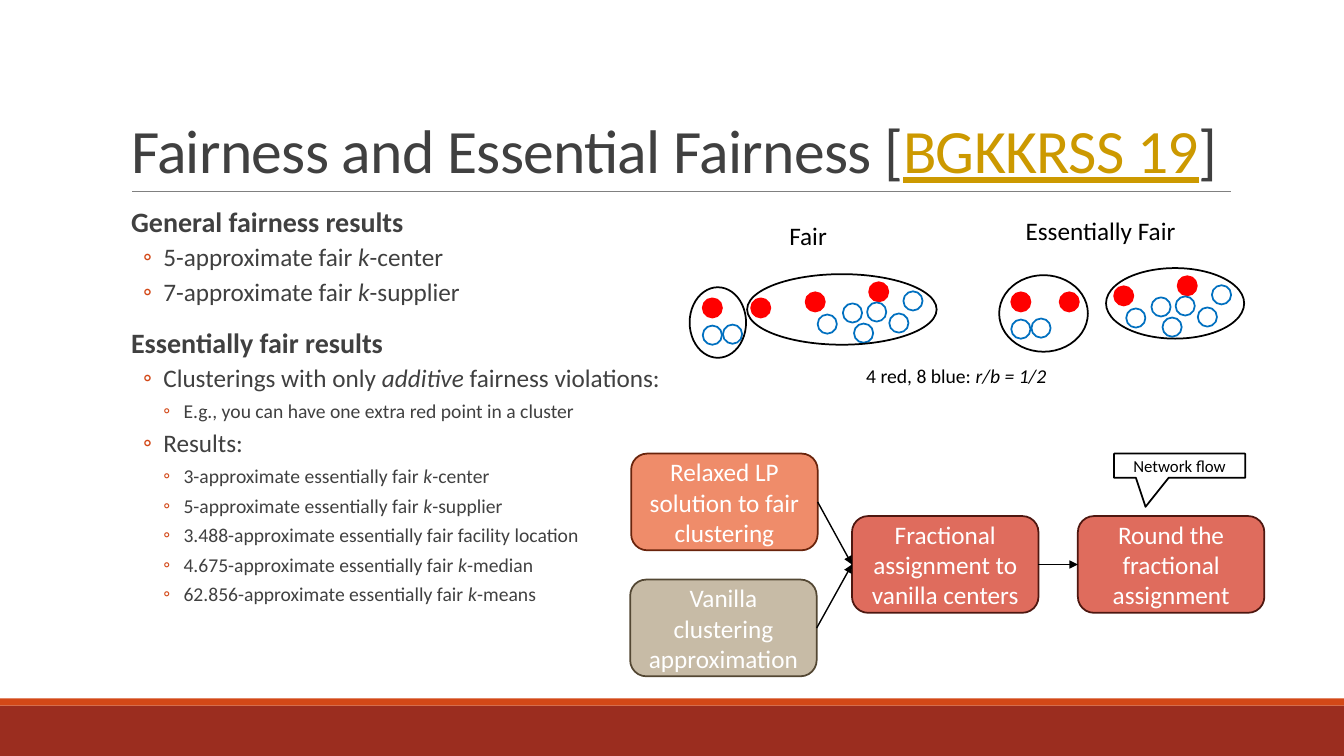
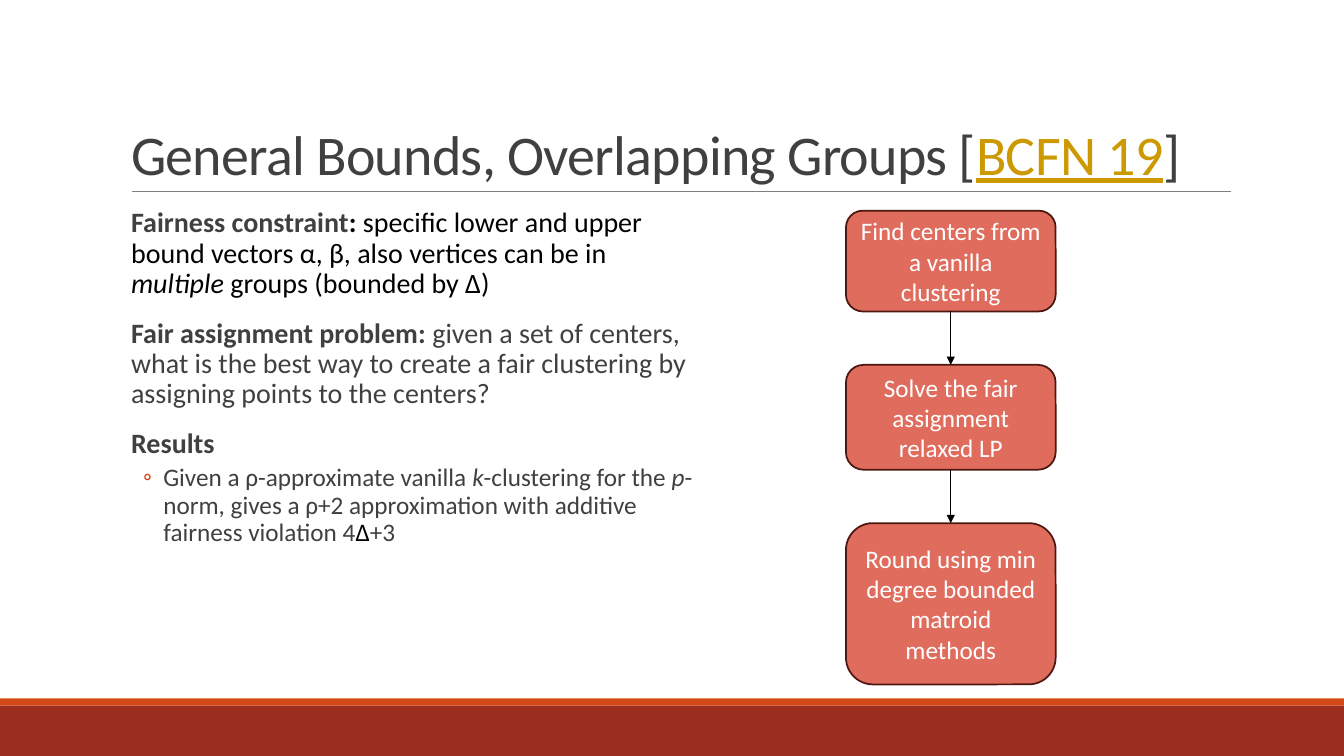
import dataclasses

import lxml.etree
import pptx
import pptx.dml.color
import pptx.enum.shapes
import pptx.enum.text
import pptx.oxml.ns
import pptx.util

Inches = pptx.util.Inches
SHAPE = pptx.enum.shapes.MSO_SHAPE
ANCHOR = pptx.enum.text.MSO_ANCHOR
ALIGN = pptx.enum.text.PP_ALIGN
qn = pptx.oxml.ns.qn


@dataclasses.dataclass(frozen=True)
class Theme:
    font: str = "Calibri"
    text: str = "404040"
    black: str = "000000"
    white: str = "FFFFFF"
    citation: str = "CC9900"
    accent: str = "D34817"
    footer: str = "9B2D1F"
    rule: str = "808080"
    red_point: str = "FF0000"
    blue_point: str = "0070C0"
    coral: tuple = ("DF6C5D", "4E1710")  # fill, outline
    orange: tuple = ("EF8C6A", "69240C")
    sand: tuple = ("C7BBA6", "534733")
    level_sizes: tuple = (20, 18, 14)
    label: int = 18
    note: int = 14
    callout: int = 12


theme = Theme()


def write(para, text, size, color, bold=False, underline=False, spacing=None):
    """Add text to a paragraph; parts between asterisks become italic."""
    for index, part in enumerate(text.split("*")):
        if not part:
            continue
        span = para.add_run()
        span.text = part
        span.font.name = theme.font
        span.font.size = pptx.util.Pt(size)
        span.font.color.rgb = pptx.dml.color.RGBColor.from_string(color)
        span.font.bold = bold
        span.font.italic = index % 2 == 1
        span.font.underline = underline
        if spacing is not None:
            span._r.get_or_add_rPr().set("spc", str(round(spacing * 100)))


def draw(page, kind, area, fill=None, outline=None, text="", size=theme.label, color=theme.white):
    """Draw a preset shape with an optional centred label."""
    box = page.shapes.add_shape(kind, *map(Inches, area))
    box.shadow.inherit = False
    if fill:
        box.fill.solid()
        box.fill.fore_color.rgb = pptx.dml.color.RGBColor.from_string(fill)
    else:
        box.fill.background()
    if outline:
        box.line.color.rgb = pptx.dml.color.RGBColor.from_string(outline)
        box.line.width = pptx.util.Pt(1.25)
    else:
        box.line.fill.background()
    if text:
        frame = box.text_frame
        frame.word_wrap = True
        frame.vertical_anchor = ANCHOR.MIDDLE
        frame.paragraphs[0].alignment = ALIGN.CENTER
        write(frame.paragraphs[0], text, size, color)
    return box


# Deck and shared title position
deck = pptx.Presentation()
deck.slide_width, deck.slide_height = Inches(13.33), Inches(7.5)
layout = deck.slide_layouts[1]
title_area = layout.placeholders[0]
title_area.left, title_area.top = Inches(1.2), Inches(0.31)
title_area.width, title_area.height = Inches(11), Inches(1.59)

# Wording: each body paragraph is a level and its spans (text, format changes)
strong = {"bold": True}
black = {"color": theme.black}
contents = [
    {
        "title": ("Fairness and Essential Fairness [", "BGKKRSS 19", 44),
        "body_size": (6.1, 4.4),
        "body": [
            (0, [("General fairness results", strong)]),
            (1, [("5-approximate fair *k*-center", {})]),
            (1, [("7-approximate fair *k*-supplier", {})]),
            (0, [("Essentially fair results", strong)]),
            (1, [("Clusterings with only *additive* fairness violations:", {})]),
            (2, [("E.g., you can have one extra red point in a cluster", {})]),
            (1, [("Results:", {})]),
            (2, [("3-approximate essentially fair *k*-center", {})]),
            (2, [("5-approximate essentially fair *k*-supplier", {})]),
            (2, [("3.488-approximate essentially fair facility location", {})]),
            (2, [("4.675-approximate essentially fair *k*-median", {})]),
            (2, [("62.856-approximate essentially fair *k*-means", {})]),
        ],
    },
    {
        "title": ("General Bounds, Overlapping Groups [", "BCFN 19", 40),
        "body_size": (5.67, 4.77),
        "body": [
            (0, [
                ("Fairness constraint", strong),
                (":", strong | black),
                (" specific lower and upper bound vectors α, β, also vertices can be in "
                 "*multiple *groups (bounded by Δ)", black),
            ]),
            (0, [
                ("Fair assignment problem:", strong),
                (" given a set of centers, what is the best way to create a fair "
                 "clustering by assigning points to the centers?", {}),
            ]),
            (0, [("Results", strong)]),
            (1, [
                ("Given a ρ-approximate vanilla *k*-clustering for the *p*-norm, gives "
                 "a ρ+2 approximation with additive fairness violation 4", {}),
                ("Δ", black),
                ("+3", {}),
            ]),
        ],
    },
]

# Titles and lists
pages = []
for content in contents:
    page = deck.slides.add_slide(layout)
    pages.append(page)
    frame = page.shapes.title.text_frame
    frame.auto_size = pptx.enum.text.MSO_AUTO_SIZE.NONE
    frame.vertical_anchor = ANCHOR.BOTTOM
    para = frame.paragraphs[0]
    para.alignment = ALIGN.LEFT
    para.line_spacing = 0.85
    lead, citation, size = content["title"]
    write(para, lead, size, theme.text, spacing=-0.5)
    write(para, citation, size, theme.citation, underline=True, spacing=-0.5)
    write(para, "]", size, theme.text, spacing=-0.5)

    body = page.placeholders[1]
    body.left, body.top = Inches(1.2), Inches(2.02)
    body.width, body.height = map(Inches, content["body_size"])
    frame = body.text_frame
    frame.auto_size = pptx.enum.text.MSO_AUTO_SIZE.NONE
    frame.margin_left = frame.margin_right = 0
    for index, (level, spans) in enumerate(content["body"]):
        para = frame.paragraphs[0] if index == 0 else frame.add_paragraph()
        para.level = level
        properties = para._p.get_or_add_pPr()
        properties.set("marL", str(Inches((0.1, 0.42, 0.62)[level])))
        properties.set("indent", str(Inches(-0.2 if level else 0)))
        if level:
            bullet_color = lxml.etree.SubElement(properties, qn("a:buClr"))
            lxml.etree.SubElement(bullet_color, qn("a:srgbClr"), val=theme.accent)
            lxml.etree.SubElement(properties, qn("a:buFont"), typeface=theme.font)
            lxml.etree.SubElement(properties, qn("a:buChar"), char="◦")
        else:
            lxml.etree.SubElement(properties, qn("a:buNone"))
        para.line_spacing = 0.9
        before = 0 if index == 0 else 2 if level else 12
        para.space_before = pptx.util.Pt(before)
        para.space_after = pptx.util.Pt(4 if level else 2)
        for text, changes in spans:
            write(para, text, **({"size": theme.level_sizes[level], "color": theme.text} | changes))

results_page, bounds_page = pages

# Footer bands and title rule, moved to the layout behind the placeholders
STRAIGHT = pptx.enum.shapes.MSO_CONNECTOR.STRAIGHT
footer = draw(results_page, SHAPE.RECTANGLE, (0, 7, 13.33, 0.5), theme.footer)
stripe = draw(results_page, SHAPE.RECTANGLE, (0, 6.93, 13.33, 0.07), theme.accent)
rule = results_page.shapes.add_connector(STRAIGHT, *map(Inches, (1.31, 1.9, 12.21, 1.9)))
for position, part in enumerate((footer, stripe, rule), start=2):
    layout.shapes.element.insert(position, part.element)

# Point clusters: the same points twice, grouped differently
red_points = [(6.97, 2.96), (7.45, 2.96), (7.99, 2.9), (8.62, 2.8)]
blue_points = [
    (6.97, 3.23), (7.17, 3.22), (8.11, 3.12), (8.36, 3.01), (8.47, 3.21),
    (8.6, 3), (8.82, 3.11), (8.96, 2.89),
]
for shift_x, shift_y in ((0, 0), (3.06, -0.06)):
    for points, fill, outline in (
        (red_points, theme.red_point, theme.red_point),
        (blue_points, None, theme.blue_point),
    ):
        for left, top in points:
            area = (left + shift_x, top + shift_y, 0.19, 0.19)
            draw(results_page, SHAPE.OVAL, area, fill, outline)
for area in (
    (6.84, 2.85, 0.56, 0.7), (7.41, 2.72, 1.88, 0.7),
    (9.91, 2.73, 0.88, 0.76), (10.97, 2.66, 1.37, 0.7),
):
    draw(results_page, SHAPE.OVAL, area, outline=theme.black)

# Cluster labels
for text, area, size in (
    ("Fair", (7.13, 2.14, 1.77, 0.4), theme.label),
    ("Essentially Fair", (10.03, 2.09, 1.77, 0.4), theme.label),
    ("4 red, 8 blue: *r/b = 1/2*", (7.25, 3.56, 4.47, 0.34), theme.note),
):
    label = results_page.shapes.add_textbox(*map(Inches, area))
    label.text_frame.word_wrap = True
    para = label.text_frame.paragraphs[0]
    para.alignment = ALIGN.CENTER
    write(para, text, size, theme.black)

# Flow on the results page
vanilla, relaxed, fractional, rounding = [
    draw(results_page, SHAPE.ROUNDED_RECTANGLE, (left, top, 1.85, 0.96), *colors, text)
    for left, top, colors, text in (
        (6.25, 5.75, theme.sand, "Vanilla clustering approximation"),
        (6.26, 4.5, theme.orange, "Relaxed LP solution to fair clustering"),
        (8.45, 5.12, theme.coral, "Fractional assignment to vanilla centers"),
        (10.69, 5.12, theme.coral, "Round the fractional assignment"),
    )
]
callout = draw(
    results_page, SHAPE.RECTANGULAR_CALLOUT, (11.05, 4.5, 1.3, 0.24),
    theme.white, theme.black, "Network flow", theme.callout, theme.black,
)
callout.adjustments[0], callout.adjustments[1] = -0.26, 1.7

# Flow on the bounds page
centers, assignment, matroid = [
    draw(bounds_page, SHAPE.ROUNDED_RECTANGLE, (8.39, top, 2.08, height), *theme.coral, text)
    for top, height, text in (
        (2.09, 1, "Find centers from a vanilla clustering"),
        (3.62, 1.04, "Solve the fair assignment relaxed LP"),
        (5.19, 1.6, "Round using min degree bounded matroid methods"),
    )
]

# Arrows joined to the boxes (sites: 0 top, 1 left, 2 bottom, 3 right)
arrows = []
for page, start, start_site, end, end_site in (
    (results_page, vanilla, 3, fractional, 1),
    (results_page, relaxed, 3, fractional, 1),
    (results_page, fractional, 3, rounding, 1),
    (bounds_page, centers, 2, assignment, 0),
    (bounds_page, assignment, 2, matroid, 0),
):
    arrow = page.shapes.add_connector(STRAIGHT, 0, 0, 0, 0)
    arrow.begin_connect(start, start_site)
    arrow.end_connect(end, end_site)
    arrows.append(arrow)

# Line style of the rule and the arrows
for connector in (rule, *arrows):
    is_rule = connector is rule
    color = theme.rule if is_rule else theme.black
    connector.line.color.rgb = pptx.dml.color.RGBColor.from_string(color)
    connector.line.width = pptx.util.Pt(0.5 if is_rule else 1)
    if not is_rule:
        lxml.etree.SubElement(connector.line._get_or_add_ln(), qn("a:tailEnd"), type="triangle")
    lxml.etree.SubElement(connector.element.spPr, qn("a:effectLst"))

deck.save("out.pptx")
